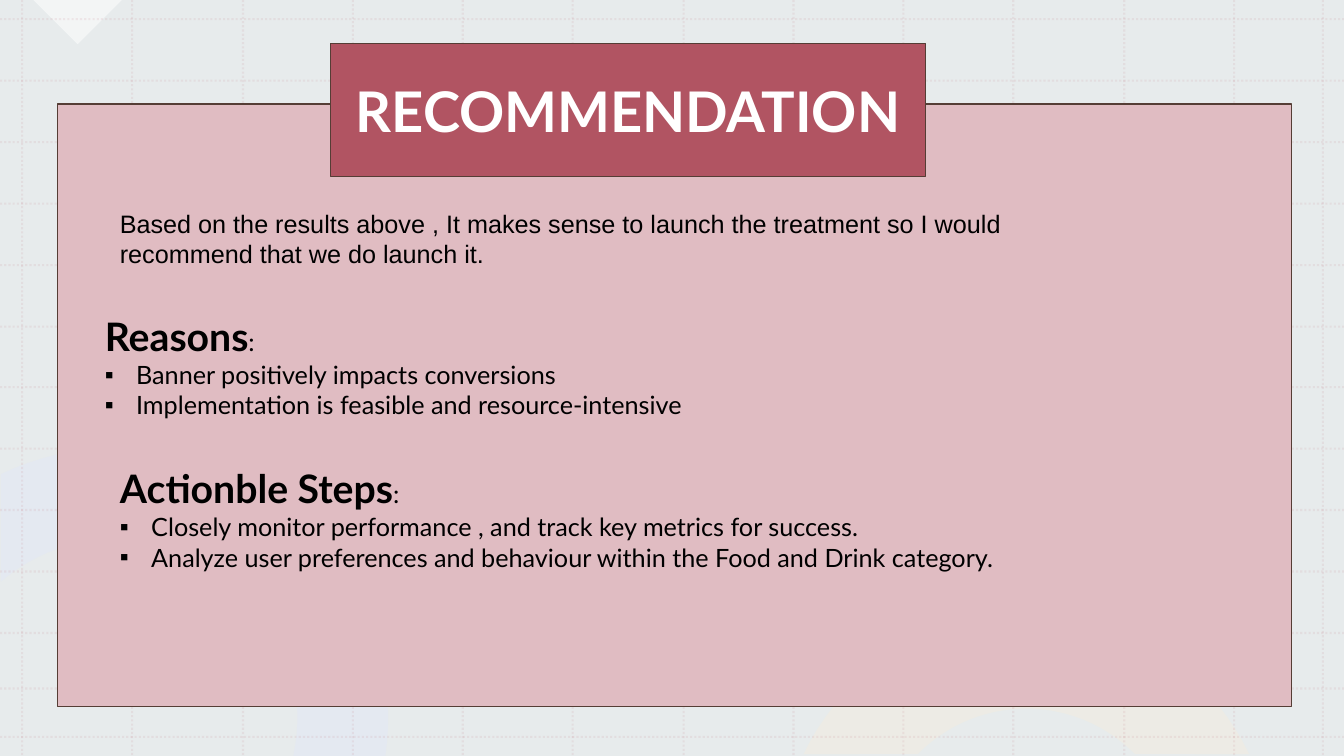
import math

from lxml import etree
from pptx import Presentation
from pptx.dml.color import RGBColor
from pptx.enum.dml import MSO_LINE
from pptx.enum.shapes import MSO_CONNECTOR, MSO_SHAPE
from pptx.enum.text import MSO_ANCHOR, MSO_AUTO_SIZE, PP_ALIGN
from pptx.oxml.ns import qn
from pptx.util import Pt

RECTANGLE, TRIANGLE = MSO_SHAPE.RECTANGLE, MSO_SHAPE.RIGHT_TRIANGLE
STRAIGHT, DOTTED = MSO_CONNECTOR.STRAIGHT, MSO_LINE.ROUND_DOT
LEFT, CENTER = PP_ALIGN.LEFT, PP_ALIGN.CENTER
TOP, MIDDLE = MSO_ANCHOR.TOP, MSO_ANCHOR.MIDDLE
NO_AUTOFIT = MSO_AUTO_SIZE.NONE

PX = 9144  # EMU in one px, 100 px to the inch
WIDTH, HEIGHT = 1333, 750
COLORS = {name: RGBColor.from_string(value) for name, value in {
    "white": "FFFFFF", "black": "000000", "backdrop": "E2E6E8", "grid": "CC9099",
    "blue band": "E4E9F3", "cream band": "EFECE4",
    "panel": "E0BCC2", "banner": "B15462", "border": "553D35",
}.items()}


def paint(shape, color, opacity=100):
    """Fill a shape without outline or shadow, at an opacity in percent."""
    shape.shadow.inherit = False
    shape.fill.solid()
    shape.fill.fore_color.rgb = COLORS[color]
    shape.line.fill.background()
    if opacity < 100:
        for color_node in shape.element.iter(qn("a:srgbClr")):
            etree.SubElement(color_node, qn("a:alpha"), val=str(opacity * 1000))


def add_run(paragraph, text, size, font="Lato", bold=False, color="black"):
    run = paragraph.add_run()
    run.text = text
    run.font.size = Pt(size)
    run.font.name = font
    run.font.bold = bold
    run.font.color.rgb = COLORS[color]


presentation = Presentation()
presentation.slide_width = WIDTH * PX
presentation.slide_height = HEIGHT * PX
slide = presentation.slides.add_slide(presentation.slide_layouts.get_by_name("Two Content"))
shapes = slide.shapes
title, reasons, steps = slide.placeholders

# Backdrop and corner triangle
backdrop = shapes.add_shape(RECTANGLE, 0, 0, WIDTH * PX, HEIGHT * PX)
paint(backdrop, "backdrop", 80)
triangle = shapes.add_shape(TRIANGLE, 46 * PX, -31 * PX, 62 * PX, 62 * PX)
triangle.rotation = 315
paint(triangle, "white", 50)

# Curved bands: centre, then (radius, first angle, last angle) of each edge
BANDS = [
    ("blue band", 117, 712, (268, -115.7, 8.2), (178, 12.3, -130.7)),
    ("cream band", 1018, 854, (245, -154.4, -25.6), (151, -44.6, -135.4)),
]
ARC_STEPS = 40
for color, center_x, center_y, *edges in BANDS:
    points = []
    for radius, first, last in edges:
        for step in range(ARC_STEPS + 1):
            angle = math.radians(first + (last - first) * step / ARC_STEPS)
            points.append((round((center_x + radius * math.cos(angle)) * PX),
                           round((center_y + radius * math.sin(angle)) * PX)))
    builder = shapes.build_freeform(*points[0])
    builder.add_line_segments(points[1:], close=True)
    paint(builder.convert_to_shape(), color, 80)

# Dotted grid
columns = [round(22 + 109.27 * index) for index in range(12)] + [1312]
rows = [round(19 + 60.9 * index) for index in range(11)] + [683, 731]
grid_lines = [(x, 0, x, HEIGHT) for x in columns] + [(0, y, WIDTH, y) for y in rows]
for ends in grid_lines:
    connector = shapes.add_connector(STRAIGHT, *(value * PX for value in ends))
    connector.line.color.rgb = COLORS["grid"]
    connector.line.width = Pt(1.5)
    connector.line.dash_style = DOTTED
    for color_node in connector.element.iter(qn("a:srgbClr")):
        etree.SubElement(color_node, qn("a:alpha"), val="15000")
    etree.SubElement(connector.element.spPr, qn("a:effectLst"))

# Panel and title banner
panel = shapes.add_shape(RECTANGLE, 57 * PX, 103 * PX, 1224 * PX, 598 * PX)
title.left, title.top, title.width, title.height = 328 * PX, 43 * PX, 590 * PX, 132 * PX
for shape, color in ((panel, "panel"), (title, "banner")):
    paint(shape, color)
    shape.line.color.rgb = COLORS["border"]
    shape.line.width = Pt(1)
title.text_frame.auto_size = NO_AUTOFIT
title.text_frame.vertical_anchor = MIDDLE
title.text_frame.paragraphs[0].alignment = CENTER
add_run(title.text_frame.paragraphs[0], "RECOMMENDATION", 40, bold=True, color="white")

# Opening statement
statement = shapes.add_textbox(109 * PX, 202 * PX, 1006 * PX, 103 * PX)
statement.text_frame.word_wrap = True
add_run(statement.text_frame.paragraphs[0],
        "Based on the results above , It makes sense to launch the treatment "
        "so I would recommend that we do launch it.", 18, font="Arial")

# Headed lists
LISTS = [
    (reasons, (94, 305, 977, 118), "Reasons", [
        "Banner positively impacts conversions",
        "Implementation is feasible and resource-intensive",
    ]),
    (steps, (109, 456, 926, 118), "Actionble Steps", [
        "Closely monitor performance , and track key metrics for success.",
        "Analyze user preferences and behaviour within the Food and Drink category.",
    ]),
]
for body, box, heading, items in LISTS:
    body.left, body.top, body.width, body.height = (value * PX for value in box)
    frame = body.text_frame
    frame.auto_size = NO_AUTOFIT
    frame.vertical_anchor = TOP
    for index, text in enumerate([heading] + items):
        paragraph = frame.add_paragraph() if index else frame.paragraphs[0]
        paragraph.alignment = LEFT
        paragraph.space_before = Pt(0)
        properties = paragraph._p.get_or_add_pPr()
        indent = 31 * PX if index else 0
        properties.set("marL", str(indent))
        properties.set("indent", str(-indent))
        if index:
            etree.SubElement(properties, qn("a:buChar"), char="▪")
            add_run(paragraph, text, 18)
        else:
            etree.SubElement(properties, qn("a:buNone"))
            add_run(paragraph, text, 28, bold=True)
            add_run(paragraph, ":", 18)

# Bring the placeholders in front of the panel
for shape in (steps, reasons, statement, title):
    panel.element.addnext(shape.element)

presentation.save("out.pptx")
